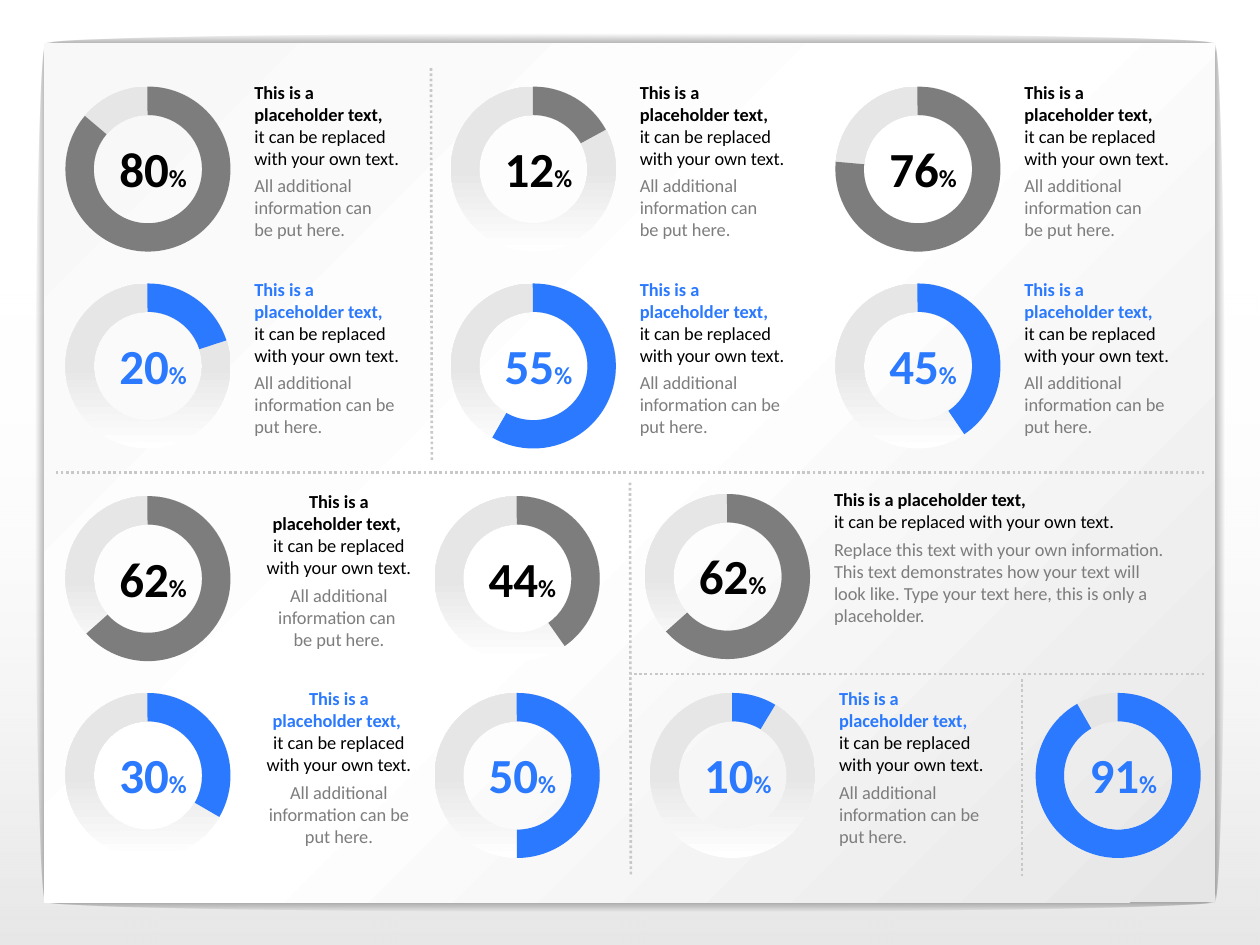
import copy
from dataclasses import dataclass

from lxml import etree
from pptx import Presentation
from pptx import util as u
from pptx.dml.color import RGBColor
from pptx.enum import dml, shapes, text
from pptx.oxml import ns, parse_xml


@dataclass(frozen=True)
class Theme:
    font: str = "Calibri"
    black: str = "000000"
    white: str = "FFFFFF"
    gray: str = "7D7D7D"
    blue: str = "2A79FF"
    track: str = "E6E6E6"
    panel_end: str = "F8F8F8"
    divider: str = "C8C8C8"
    number_size: float = 28
    percent_size: float = 14
    caption_size: float = 10.5


RING = 94.3          # ring diameter
RING_WIDTH = 0.172   # band thickness as a share of the diameter
TOP_ANGLE = 270.41   # where every mirrored arc begins
CAPTION_RISE = 9     # caption box starts above its ring
LEAD = "This is a placeholder text, "
REPLACE = "it can be replaced with your own text."


class RingSlide:
    def __init__(self, slide, theme):
        self.slide, self.theme = slide, theme

    def shape(self, kind, left, top, width, height):
        item = self.slide.shapes.add_shape(
            kind, u.Pt(left), u.Pt(top), u.Pt(width), u.Pt(height))
        item.shadow.inherit = False
        item.line.fill.background()
        return item

    def gradient(self, item, stops, angle=None):
        """Stops are (position %, colour, opacity %); no angle means from the centre."""
        marks = "".join(
            f'<a:gs pos="{pos * 1000}"><a:srgbClr val="{color}">'
            f'<a:alpha val="{opacity * 1000}"/></a:srgbClr></a:gs>'
            for pos, color, opacity in stops)
        if angle is None:
            course = ('<a:path path="shape"><a:fillToRect l="50000" t="50000" '
                      'r="50000" b="50000"/></a:path>')
        else:
            course = f'<a:lin ang="{angle * 60000}" scaled="0"/>'
        fill = parse_xml(f'<a:gradFill {ns.nsdecls("a")} rotWithShape="1">'
                         f'<a:gsLst>{marks}</a:gsLst>{course}</a:gradFill>')
        item._element.spPr.find(ns.qn("a:prstGeom")).addnext(fill)

    def divider(self, x1, y1, x2, y2):
        rule = self.slide.shapes.add_connector(
            shapes.MSO_CONNECTOR.STRAIGHT, u.Pt(x1), u.Pt(y1), u.Pt(x2), u.Pt(y2))
        rule.line.color.rgb = RGBColor.from_string(self.theme.divider)
        rule.line.width = u.Pt(1.5)
        rule.line.dash_style = dml.MSO_LINE.ROUND_DOT
        etree.SubElement(rule._element.spPr, ns.qn("a:effectLst"))

    def text_frame(self, left, top, width, height, insets):
        box = self.slide.shapes.add_textbox(
            u.Pt(left), u.Pt(top), u.Pt(width), u.Pt(height))
        frame = box.text_frame
        frame.word_wrap = True
        frame.margin_left, frame.margin_top, frame.margin_right, frame.margin_bottom = (
            u.Pt(inset) for inset in insets)
        return frame

    def run(self, paragraph, words, size, color, bold=False):
        """Adds a run; each newline becomes a line break of the same size."""
        for part in words.splitlines(keepends=True):
            run = paragraph.add_run()
            run.text = part.rstrip("\n")
            run.font.name = self.theme.font
            run.font.size = u.Pt(size)
            run.font.bold = bold
            run.font.color.rgb = RGBColor.from_string(color)
            if part.endswith("\n"):
                paragraph._p.add_br().append(copy.deepcopy(run._r.rPr))

    def ring(self, left, top, value, sweep, arc_color, number_color):
        t = self.theme
        # Pale track
        track = self.shape(shapes.MSO_SHAPE.DONUT, left, top, RING, RING)
        track.adjustments[0] = RING_WIDTH
        self.gradient(track, [(0, t.white, 100), (50, t.track, 100)], 270)
        # Number
        frame = self.text_frame(left, top, RING, 92.9, (5.8, 0, 0, 0))
        frame.vertical_anchor = text.MSO_ANCHOR.MIDDLE
        number = frame.paragraphs[0]
        number.alignment = text.PP_ALIGN.CENTER
        self.run(number, str(value), t.number_size, number_color, True)
        self.run(number, "%", t.percent_size, number_color, True)
        # Value arc, mirrored so that it runs clockwise from the top
        arc = self.shape(shapes.MSO_SHAPE.BLOCK_ARC, left, top, RING, RING)
        arc._element.spPr.xfrm.set("flipH", "1")
        start = (TOP_ANGLE - sweep) % 360
        for index, angle in enumerate((start, TOP_ANGLE)):
            arc.adjustments[index] = angle * 0.6
        arc.adjustments[2] = RING_WIDTH
        arc.fill.solid()
        arc.fill.fore_color.rgb = RGBColor.from_string(arc_color)

    def caption(self, left, top, width, lead_color, detail, align):
        t = self.theme
        frame = self.text_frame(left, top, width, 112.3, (14.4, 5.8, 8.6, 0))
        lead, more = frame.paragraphs[0], frame.add_paragraph()
        for paragraph in (lead, more):
            paragraph.alignment = align
            paragraph.space_after = u.Pt(3)
        self.run(lead, LEAD + "\n", t.caption_size, lead_color, True)
        self.run(lead, REPLACE, t.caption_size, t.black)
        self.run(more, detail, t.caption_size, t.gray)

    def backdrop(self):
        t = self.theme
        oval, rect = shapes.MSO_SHAPE.OVAL, shapes.MSO_SHAPE.RECTANGLE
        floor = self.shape(rect, 0, 159, 720, 381)
        self.gradient(floor, [(0, t.black, 10), (100, t.white, 0)], 270)
        # Soft shadows along the four panel edges
        for left, top, length, turn in ((354.3, 180.8, 669, 90), (354.3, -309.6, 669, 90),
                                        (688.3, 25.2, 490.3, 0), (20.2, 25.2, 490.3, 0)):
            edge = self.shape(oval, left, top, 11.5, length)
            edge.rotation = turn
            self.gradient(edge, [(0, t.black, 30), (100, t.black, 0)])
        panel = self.shape(rect, 25.2, 25, 669, 490.5)
        self.gradient(panel, [(0, t.track, 100), (50, t.white, 100),
                              (100, t.panel_end, 100)], 225)


def main():
    deck = Presentation()
    deck.slide_width, deck.slide_height = u.Pt(720), u.Pt(540)
    theme = Theme()
    page = RingSlide(deck.slides.add_slide(deck.slide_layouts[6]), theme)
    page.backdrop()

    # Dotted dividers
    for ends in ((360, 275.8, 360.5, 501), (688.3, 270, 31, 270), (246.3, 39, 246.8, 264.2),
                 (584, 388, 584, 501), (688.3, 385.2, 360.5, 385.2)):
        page.divider(*ends)

    # Looks: arc colour, lead and number colour, detail text
    gray = (theme.gray, theme.black, "All additional information can \nbe put here.")
    blue = (theme.blue, theme.blue, "All additional information can be put here.")
    wide = (theme.gray, theme.black,
            "Replace this text with your own information. This text demonstrates how your "
            "text will look like. Type your text here, this is only a placeholder.")
    # Caption places: offset from the ring, width, alignment
    beside = (93.6, 108, text.PP_ALIGN.LEFT)
    centered = (99.4, 108, text.PP_ALIGN.CENTER)
    broad = (93.6, 212.4, text.PP_ALIGN.LEFT)

    # Left, top, value, arc sweep in degrees, look, caption place
    rings = (
        (37.4, 49.5, 80, 310.52, gray, beside),
        (257.6, 49.5, 12, 61.81, gray, beside),
        (477.4, 49.5, 76, 275.55, gray, beside),
        (37.4, 162, 20, 72.32, blue, beside),
        (257.6, 162, 55, 210.23, blue, beside),
        (477.4, 162, 45, 146.24, blue, beside),
        (37.4, 283.5, 62, 228.66, gray, centered),
        (248.4, 283.5, 44, 145.26, gray, None),
        (37.4, 396, 30, 120.53, blue, centered),
        (248.4, 396, 50, 180.63, blue, None),
        (368.6, 282.3, 62, 228.66, wide, broad),
        (371.5, 396, 10, 31.5, blue, beside),
        (591.8, 396, 91, 330.62, blue, None),
    )
    for left, top, value, sweep, (arc_color, lead_color, detail), place in rings:
        page.ring(left, top, value, sweep, arc_color, lead_color)
        if place:
            offset, width, align = place
            page.caption(left + offset, top - CAPTION_RISE, width, lead_color, detail, align)

    deck.save("out.pptx")


if __name__ == "__main__":
    main()
